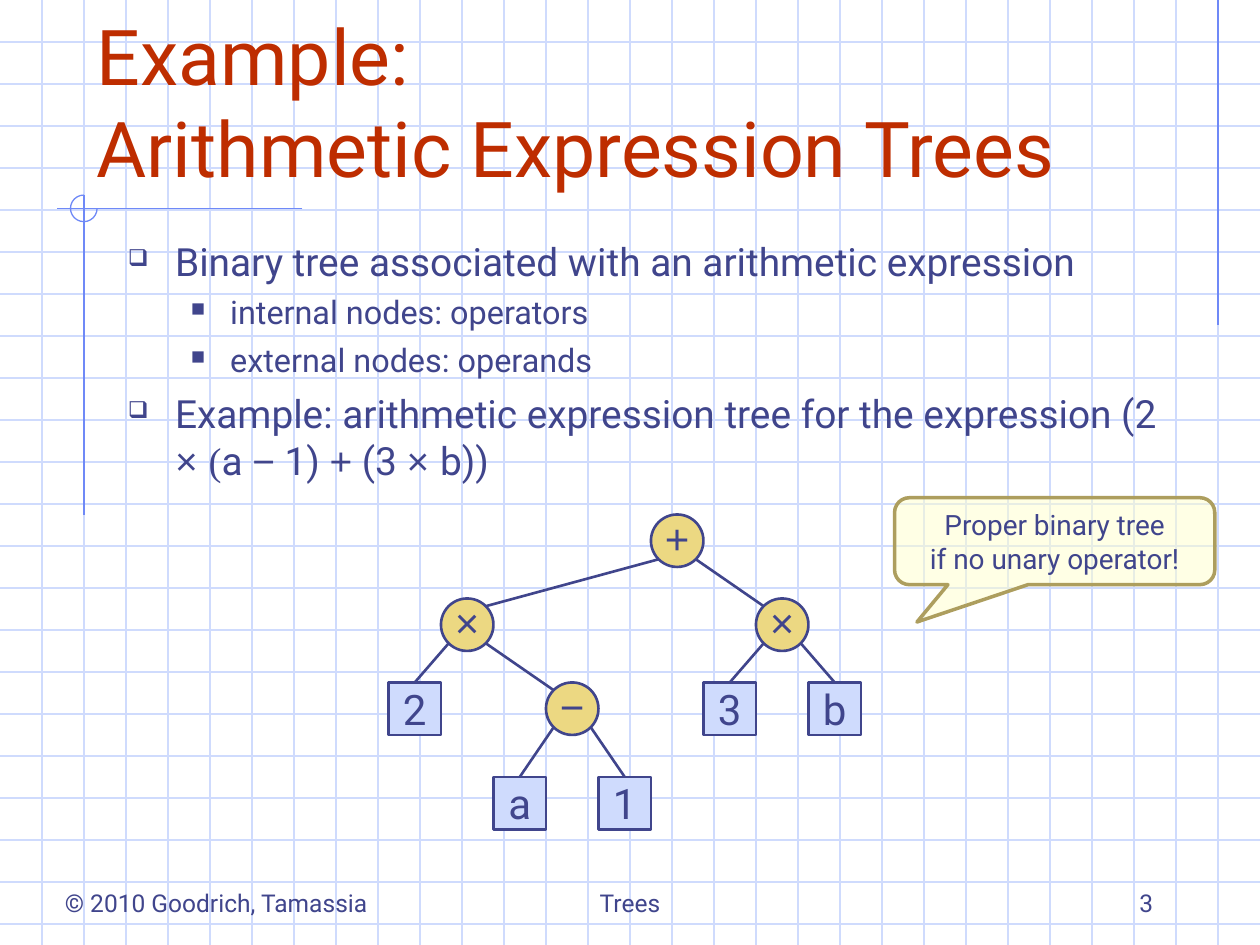
from lxml.etree import SubElement
from pptx import Presentation
from pptx.dml.color import RGBColor
from pptx.enum.shapes import MSO_CONNECTOR, MSO_SHAPE
from pptx.enum.text import MSO_ANCHOR, MSO_AUTO_SIZE, PP_ALIGN
from pptx.oxml.ns import qn
from pptx.util import Pt

INK = RGBColor(0x40, 0x45, 0x8C)
RED = RGBColor(0xBE, 0x2D, 0x00)
PALE = RGBColor(0xCF, 0xDB, 0xFD)
BLUE = RGBColor(0x6F, 0x89, 0xF7)
GOLD = RGBColor(0xEC, 0xD8, 0x82)
CREAM = RGBColor(0xFF, 0xFF, 0xCC)
OLIVE = RGBColor(0xAD, 0x9E, 0x5E)


def add_run(para, text, size, font="Roboto", color=INK):
    run = para.add_run()
    run.text = text
    run.font.size = Pt(size)
    run.font.name = font
    run.font.color.rgb = color


def add_line(x1, y1, x2, y2, color, width=0.75):
    line = shapes.add_connector(MSO_CONNECTOR.STRAIGHT, Pt(x1), Pt(y1), Pt(x2), Pt(y2))
    line.line.color.rgb = color
    line.line.width = Pt(width)
    SubElement(line.element.spPr, qn("a:effectLst"))
    return line


deck = Presentation()
deck.slide_width, deck.slide_height = Pt(720), Pt(540)
slide = deck.slides.add_slide(deck.slide_layouts[5])
shapes = slide.shapes

for y in range(24, 540, 24):
    add_line(0, y, 720, y, PALE)
for x in range(24, 720, 24):
    add_line(x, 0, x, 540, PALE)
add_line(696, 0, 696, 186, BLUE)
add_line(172.8, 119.3, 32.4, 119.3, BLUE)
add_line(48, 111.6, 48, 294.5, BLUE)
arc = shapes.add_shape(MSO_SHAPE.ARC, Pt(40.3), Pt(111.5), Pt(15.2), Pt(15.2))
arc.adjustments[0], arc.adjustments[1] = 0, 162
arc.shadow.inherit = False
arc.fill.background()
arc.line.color.rgb = BLUE
arc.line.width = Pt(0.75)

title = shapes.title
shapes.element.append(title.element)
title.left, title.top, title.width, title.height = Pt(48), Pt(24), Pt(612), Pt(90)
frame = title.text_frame
frame.auto_size = MSO_AUTO_SIZE.NONE
frame.word_wrap = True
frame.vertical_anchor = MSO_ANCHOR.BOTTOM
para = frame.paragraphs[0]
para.alignment = PP_ALIGN.LEFT
add_run(para, "Example:", 44, color=RED)
para.add_line_break()
add_run(para, "Arithmetic Expression Trees", 44, color=RED)

body = shapes.add_textbox(Pt(66), Pt(132), Pt(612), Pt(156))
frame = body.text_frame
frame.word_wrap = True
points = [
    (0, [("Binary tree associated with an arithmetic expression", "Roboto")]),
    (1, [("internal nodes: operators", "Roboto")]),
    (1, [("external nodes: operands", "Roboto")]),
    (0, [("Example: arithmetic expression tree for the expression (2 ", "Roboto"),
         ("× ", "Arial"), ("(", "Times New Roman"), ("a ", "Roboto"),
         ("−", "Arial"), (" 1) ", "Roboto"), ("+", "Arial"),
         (" (3 ", "Roboto"), ("× ", "Arial"), ("b))", "Roboto")]),
]
levels = [(22.2, 6, 27, 27, "❑"), (18.5, 5, 58.5, 22.5, "■")]
for i, (level, runs) in enumerate(points):
    size, gap, left, hang, mark = levels[level]
    para = frame.add_paragraph() if i else frame.paragraphs[0]
    para.level = level
    para.space_before = Pt(gap)
    props = para._p.get_or_add_pPr()
    props.set("marL", str(Pt(left)))
    props.set("indent", str(-Pt(hang)))
    tint = SubElement(props, qn("a:buClr"))
    SubElement(tint, qn("a:srgbClr"), val=str(INK))
    SubElement(props, qn("a:buSzPct"), val="60000")
    SubElement(props, qn("a:buChar"), char=mark)
    for text, font in runs:
        add_run(para, text, size, font)

SIDE = 30
nodes = {
    "root": ("+", 387, 294), "left": ("×", 267, 342), "right": ("×", 447, 342),
    "minus": ("−", 327, 390), "two": ("2", 237, 390), "a": ("a", 297, 444),
    "one": ("1", 357, 444), "three": ("3", 417, 390), "b": ("b", 477, 390),
}
drawn = {}
for name, (text, x, y) in nodes.items():
    inner = text in "+×−"
    kind = MSO_SHAPE.OVAL if inner else MSO_SHAPE.RECTANGLE
    node = shapes.add_shape(kind, Pt(x - SIDE / 2), Pt(y), Pt(SIDE), Pt(SIDE))
    node.shadow.inherit = False
    node.fill.solid()
    node.fill.fore_color.rgb = GOLD if inner else PALE
    node.line.color.rgb = INK
    node.line.width = Pt(1.5)
    frame = node.text_frame
    frame.word_wrap = False
    frame.vertical_anchor = MSO_ANCHOR.MIDDLE
    if inner:
        frame.margin_left = frame.margin_right = frame.margin_top = 0
    para = frame.paragraphs[0]
    para.alignment = PP_ALIGN.CENTER
    add_run(para, text, 24, "Arial" if inner else "Roboto")
    drawn[name] = node

DIAG = 10.6
edges = [("root", "left"), ("root", "right"), ("left", "two"), ("left", "minus"),
         ("right", "three"), ("right", "b"), ("minus", "a"), ("minus", "one")]
for top, low in edges:
    _, x1, y1 = nodes[top]
    text, x2, y2 = nodes[low]
    turn = DIAG if x2 > x1 else -DIAG
    mid = SIDE / 2
    line = add_line(x1 + turn, y1 + mid + DIAG, x2 - turn, y2 + mid - DIAG, INK, 1.5)
    if text not in "+×−":
        line.end_connect(drawn[low], 0)

footers = [
    ("© 2010 Goodrich, Tamassia", 30, 198, PP_ALIGN.LEFT),
    ("Trees", 246, 228, PP_ALIGN.CENTER),
    ("3", 516, 150, PP_ALIGN.RIGHT),
]
for text, x, width, align in footers:
    box = shapes.add_textbox(Pt(x), Pt(492), Pt(width), Pt(36))
    frame = box.text_frame
    frame.word_wrap = True
    frame.vertical_anchor = MSO_ANCHOR.BOTTOM
    para = frame.paragraphs[0]
    para.alignment = align
    add_run(para, text, 14)

note = shapes.add_shape(MSO_SHAPE.ROUNDED_RECTANGULAR_CALLOUT,
                        Pt(511.2), Pt(284.4), Pt(183), Pt(49.7))
for i, value in enumerate((-0.43, 0.93, 0.17)):
    note.adjustments[i] = value
note.shadow.inherit = False
note.fill.solid()
note.fill.fore_color.rgb = CREAM
shade = note.element.spPr.find(qn("a:solidFill")).find(qn("a:srgbClr"))
SubElement(shade, qn("a:alpha"), val="50000")
note.line.color.rgb = OLIVE
note.line.width = Pt(2)
frame = note.text_frame
frame.word_wrap = False
frame.vertical_anchor = MSO_ANCHOR.MIDDLE
for i, text in enumerate(("Proper binary tree", "if no unary operator!")):
    para = frame.add_paragraph() if i else frame.paragraphs[0]
    para.alignment = PP_ALIGN.CENTER
    add_run(para, text, 16)

deck.save("out.pptx")
